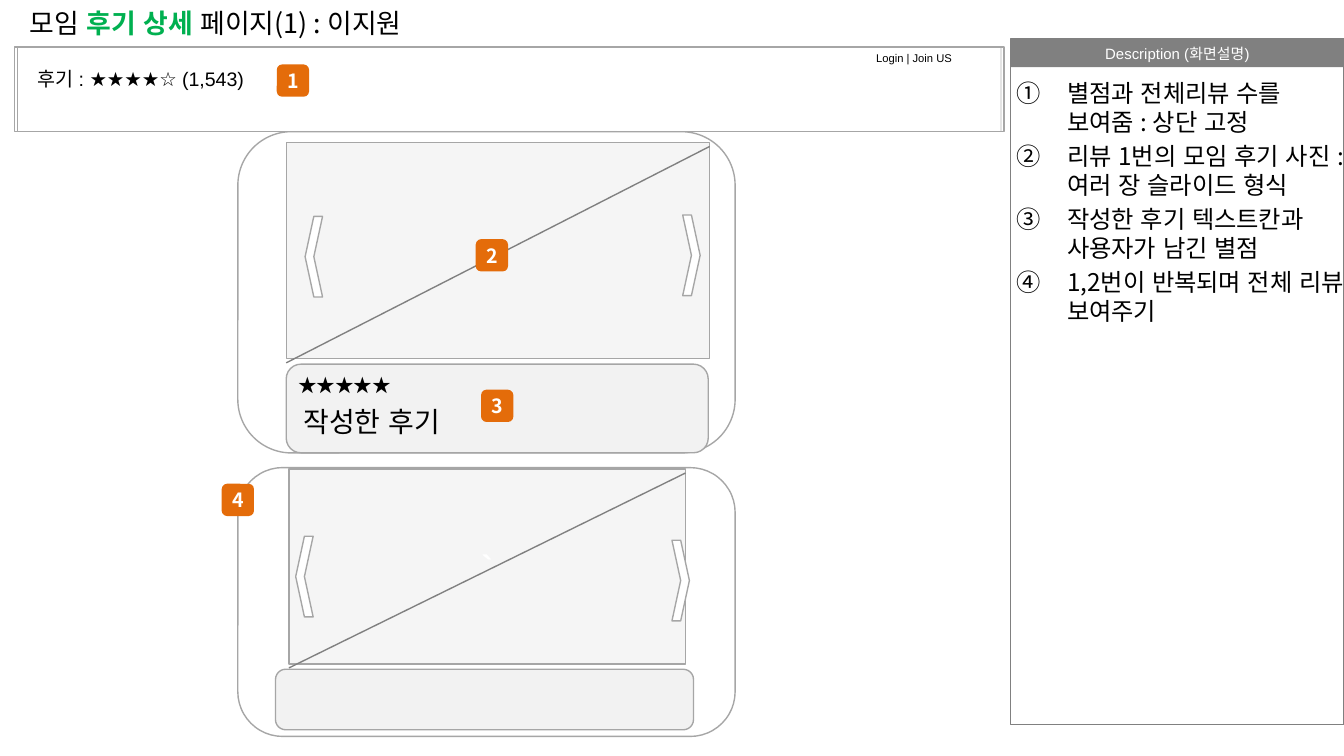
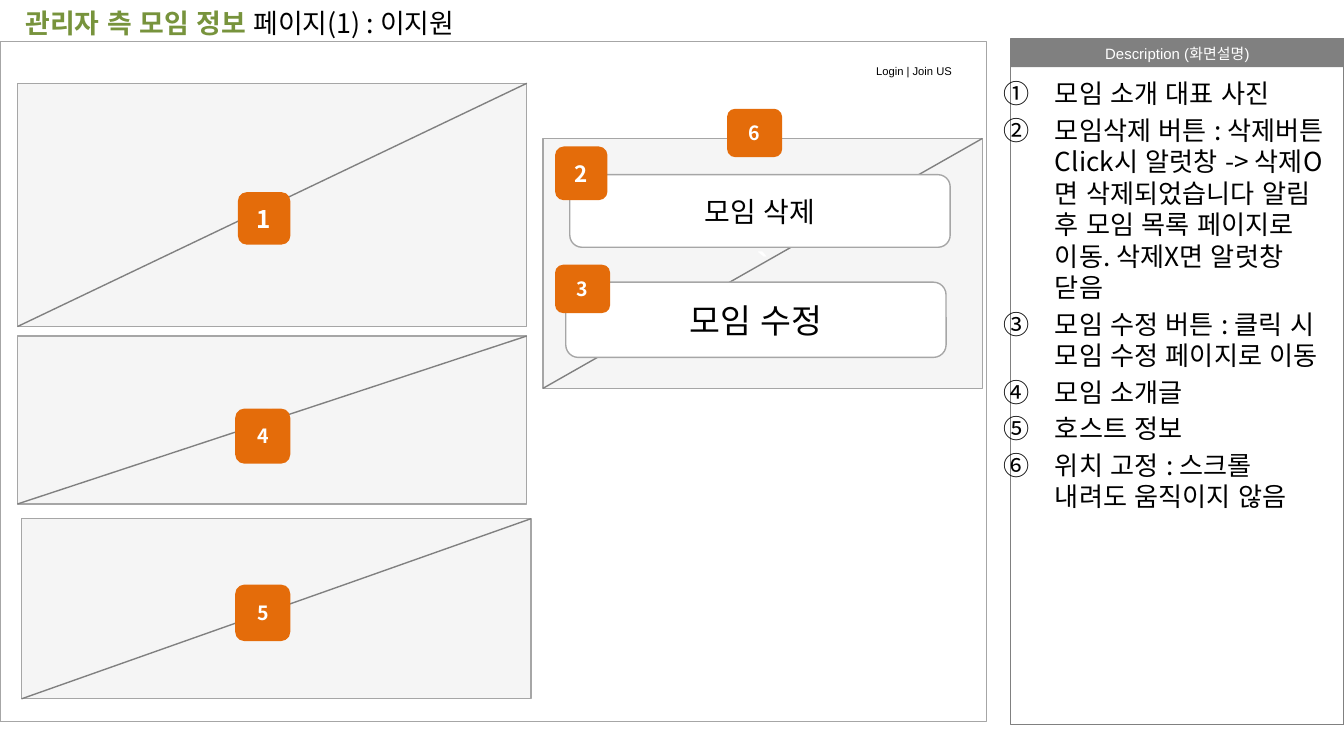
from lxml.etree import SubElement
from pptx import Presentation
from pptx.dml.color import RGBColor
from pptx.enum.shapes import MSO_CONNECTOR, MSO_SHAPE
from pptx.enum.text import MSO_ANCHOR, MSO_AUTO_SIZE, PP_ALIGN
from pptx.oxml.ns import qn
from pptx.util import Inches, Pt

# Shared look
WHITE = RGBColor(0xFF, 0xFF, 0xFF)
BLACK = RGBColor(0x00, 0x00, 0x00)
DARK_GRAY = RGBColor(0x80, 0x80, 0x80)
BORDER_GRAY = RGBColor(0xA6, 0xA6, 0xA6)
LIGHT_GRAY = RGBColor(0xF2, 0xF2, 0xF2)
ORANGE = RGBColor(0xE4, 0x6C, 0x0A)
GREEN = RGBColor(0x00, 0xB0, 0x50)
OLIVE = RGBColor(0x77, 0x93, 0x3C)
KOREAN_FONT = "Noto Sans CJK KR"
LATIN_FONT = "Arial"
LINE_HEIGHT = 1.2
LINE_WIDTH = Pt(0.75)
TITLE_LAYOUT = 5

FRAME_FORMAT = {
    "word_wrap": True,
    "auto_size": MSO_AUTO_SIZE.NONE,
    "vertical_anchor": MSO_ANCHOR.TOP,
    "margin_left": Inches(0.1),
    "margin_right": Inches(0.1),
    "margin_top": Inches(0.05),
    "margin_bottom": Inches(0.05),
}
MIDDLE = {"vertical_anchor": MSO_ANCHOR.MIDDLE}
BADGE_FRAME = {**MIDDLE, "margin_left": 0, "margin_right": 0}


def set_attributes(target, values):
    for name, value in values.items():
        setattr(target, name, value)


def inches(box):
    return [Inches(value) for value in box]


# Text
def add_run(paragraph, text, size, color=BLACK, bold=False, font=KOREAN_FONT):
    run = paragraph.add_run()
    run.text = text
    set_attributes(run.font, {"size": Pt(size), "name": font, "bold": bold})
    run.font.color.rgb = color
    properties = run.font._element
    properties.set("lang", "ko-KR")
    properties.set("kern", "0")
    SubElement(properties, qn("a:ea")).set("typeface", KOREAN_FONT)


def write_line(shape, runs, size, align=PP_ALIGN.LEFT, font=KOREAN_FONT, **frame):
    """Write one paragraph of (text, color, bold) runs."""
    set_attributes(shape.text_frame, {**FRAME_FORMAT, **frame})
    paragraph = shape.text_frame.paragraphs[0]
    set_attributes(paragraph, {"alignment": align, "line_spacing": Pt(size * LINE_HEIGHT)})
    for text, color, bold in runs:
        add_run(paragraph, text, size, color, bold, font)


def add_label(slide, box, text, size, font=KOREAN_FONT, **frame):
    label = slide.shapes.add_textbox(*inches(box))
    write_line(label, [(text, BLACK, False)], size, font=font, **frame)


def add_title(slide, box, runs):
    title = slide.shapes.title
    set_attributes(title, dict(zip(("left", "top", "width", "height"), inches(box))))
    write_line(title, runs, 14.4, **MIDDLE)


# Shapes
def add_box(slide, kind, box, fill=None, line=None, opacity=None):
    shape = slide.shapes.add_shape(kind, *inches(box))
    shape.shadow.inherit = False
    if fill is None:
        shape.fill.background()
    else:
        shape.fill.solid()
        shape.fill.fore_color.rgb = fill
    if opacity is not None:
        color = shape._element.spPr.find(qn("a:solidFill")).find(qn("a:srgbClr"))
        SubElement(color, qn("a:alpha")).set("val", str(opacity * 1000))
    if line is None:
        shape.line.fill.background()
    else:
        shape.line.color.rgb = line
        shape.line.width = LINE_WIDTH
    return shape


def add_card(slide, box, fill=WHITE):
    return add_box(slide, MSO_SHAPE.ROUNDED_RECTANGLE, box, fill, BORDER_GRAY)


def add_area(slide, box, fill=WHITE):
    return add_box(slide, MSO_SHAPE.RECTANGLE, box, fill, BORDER_GRAY, opacity=70)


def add_photo(slide, box, drop=0):
    """Image area with a rising diagonal, moved down by drop."""
    left, top, width, height = box
    photo = add_area(slide, box, LIGHT_GRAY)
    write_line(photo, [("`", WHITE, True)], 18, PP_ALIGN.CENTER, LATIN_FONT, **MIDDLE)
    ends = inches((left + width, top + drop, left, top + height + drop))
    diagonal = slide.shapes.add_connector(MSO_CONNECTOR.STRAIGHT, *ends)
    diagonal.line.color.rgb = DARK_GRAY
    diagonal.line.width = LINE_WIDTH
    SubElement(diagonal._element.spPr, qn("a:effectLst"))


def add_arrow(slide, left, top, rotation=0):
    arrow = add_box(slide, MSO_SHAPE.CHEVRON, (left, top, 0.13, 0.6), WHITE, BORDER_GRAY)
    arrow.rotation = rotation


def add_badge(slide, number, box, size=10.5):
    badge = add_box(slide, MSO_SHAPE.ROUNDED_RECTANGLE, box, ORANGE)
    write_line(badge, [(str(number), WHITE, True)], size, PP_ALIGN.CENTER, **BADGE_FRAME)


def add_button(slide, box, text, size):
    button = add_card(slide, box)
    write_line(button, [(text, BLACK, False)], size, PP_ALIGN.CENTER, **MIDDLE)


# Parts on every slide
def add_description_panel(slide):
    header = add_box(slide, MSO_SHAPE.RECTANGLE, (7.52, 0.29, 2.48, 0.21), DARK_GRAY)
    write_line(header, [("Description (화면설명)", WHITE, False)], 8, PP_ALIGN.CENTER,
               LATIN_FONT, word_wrap=False, vertical_anchor=MSO_ANCHOR.MIDDLE)
    add_box(slide, MSO_SHAPE.RECTANGLE, (7.52, 0.29, 2.48, 5.1), line=DARK_GRAY)


def add_description(slide, box, items, size):
    frame = slide.shapes.add_textbox(*inches(box)).text_frame
    set_attributes(frame, {**FRAME_FORMAT, "margin_left": Inches(0.04), "margin_right": 0})
    for index, item in enumerate(items):
        paragraph = frame.add_paragraph() if index else frame.paragraphs[0]
        set_attributes(paragraph, {"line_spacing": Pt(size * LINE_HEIGHT),
                                   "space_before": Pt(size * 0.2)})
        properties = paragraph._p.get_or_add_pPr()
        properties.set("marL", str(Inches(0.38)))
        properties.set("indent", str(-Inches(0.38)))
        properties.set("hangingPunct", "0")
        SubElement(properties, qn("a:buFont")).set("typeface", KOREAN_FONT)
        SubElement(properties, qn("a:buAutoNum")).set("type", "circleNumDbPlain")
        add_run(paragraph, item, size)


def add_login(slide, top):
    add_label(slide, (6.42, top, 0.78, 0.2), "Login | Join US", 6, LATIN_FONT, word_wrap=False)


def start_slide(presentation):
    slide = presentation.slides.add_slide(presentation.slide_layouts[TITLE_LAYOUT])
    add_description_panel(slide)
    return slide


# Slides
def build_review_slide(presentation):
    slide = start_slide(presentation)
    add_title(slide, (0.12, 0.01, 5.91, 0.32), [
        ("모임 ", BLACK, False), ("후기 상세 ", GREEN, True), ("페이지(1) : 이지원", BLACK, False)])
    add_description(slide, (7.52, 0.53, 2.48, 4.88), [
        "별점과 전체리뷰 수를 보여줌 : 상단 고정",
        "리뷰 1번의 모임 후기 사진 : 여러 장 슬라이드 형식",
        "작성한 후기 텍스트칸과 사용자가 남긴 별점",
        "1,2번이 반복되며 전체 리뷰 보여주기"], 13)

    # Review cards
    add_card(slide, (1.77, 3.48, 3.7, 2))
    add_card(slide, (1.77, 0.98, 3.7, 2.39))
    add_photo(slide, (2.13, 1.06, 3.15, 1.61), drop=0.03)
    add_photo(slide, (2.15, 3.49, 2.95, 1.45), drop=0.03)
    for left, top, rotation in ((5.08, 1.6, 0), (2.27, 1.61, 180), (5, 4.02, 0), (2.2, 3.99, 180)):
        add_arrow(slide, left, top, rotation)
    add_card(slide, (2.13, 2.71, 3.14, 0.66), LIGHT_GRAY)
    add_card(slide, (2.05, 4.98, 3.11, 0.45), LIGHT_GRAY)
    add_label(slide, (2.16, 2.96, 3.26, 0.35), "작성한 후기", 15)
    add_label(slide, (2.12, 2.73, 0.91, 0.27), "★★★★★", 10)

    # Fixed rating bar
    add_area(slide, (0.11, 0.35, 7.34, 0.63))
    rating_bar = add_area(slide, (0.13, 0.35, 7.34, 0.63))
    write_line(rating_bar, [("`", WHITE, False)], 18, PP_ALIGN.CENTER, LATIN_FONT, **MIDDLE)
    add_label(slide, (0.18, 0.45, 2.09, 0.28), "후기 : ★★★★☆ (1,543)", 10.5, LATIN_FONT)
    add_login(slide, 0.33)

    badge_places = [(2.06, 0.48), (3.54, 1.78), (3.58, 2.9), (1.65, 3.6)]
    for number, (left, top) in enumerate(badge_places, start=1):
        add_badge(slide, number, (left, top, 0.24, 0.24))


def build_admin_slide(presentation):
    slide = start_slide(presentation)
    add_area(slide, (0, 0.31, 7.34, 5.06))
    add_title(slide, (0.09, 0.01, 4.72, 0.32), [
        ("관리자 측 모임 정보 ", OLIVE, True), ("페이지(1) : 이지원", BLACK, False)])
    add_description(slide, (7.43, 0.53, 2.44, 4.88), [
        "모임 소개 대표 사진",
        "모임삭제 버튼 : 삭제버튼 Click시 알럿창 -> 삭제O면 삭제되었습니다 알림 후 "
        "모임 목록 페이지로 이동. 삭제X면 알럿창 닫음",
        "모임 수정 버튼 : 클릭 시 모임 수정 페이지로 이동",
        "모임 소개글",
        "호스트 정보",
        "위치 고정 : 스크롤 내려도 움직이지 않음"], 14)
    add_login(slide, 0.43)

    # Content areas and the fixed button area
    for box in ((0.13, 0.62, 3.79, 1.81), (0.13, 2.5, 3.79, 1.25),
                (0.16, 3.86, 3.79, 1.34), (4.04, 1.03, 3.27, 1.86)):
        add_photo(slide, box)
    add_button(slide, (4.21, 2.1, 2.83, 0.56), "모임 수정", 18)
    add_button(slide, (4.24, 1.3, 2.83, 0.54), "모임 삭제", 15)

    badges = [
        ((1.77, 1.43, 0.39, 0.39), 13),
        ((4.13, 1.09, 0.39, 0.4), 12),
        ((4.13, 1.97, 0.41, 0.36), 10.5),
        ((1.75, 3.04, 0.41, 0.41), 10.5),
        ((1.75, 4.35, 0.41, 0.42), 10.5),
        ((5.41, 0.81, 0.41, 0.36), 10.5),
    ]
    for number, (box, size) in enumerate(badges, start=1):
        add_badge(slide, number, box, size)


def main():
    presentation = Presentation()
    # Widescreen, 16:9
    presentation.slide_width = Inches(10)
    presentation.slide_height = Inches(10) * 9 // 16
    build_review_slide(presentation)
    build_admin_slide(presentation)
    presentation.save("out.pptx")


if __name__ == "__main__":
    main()
